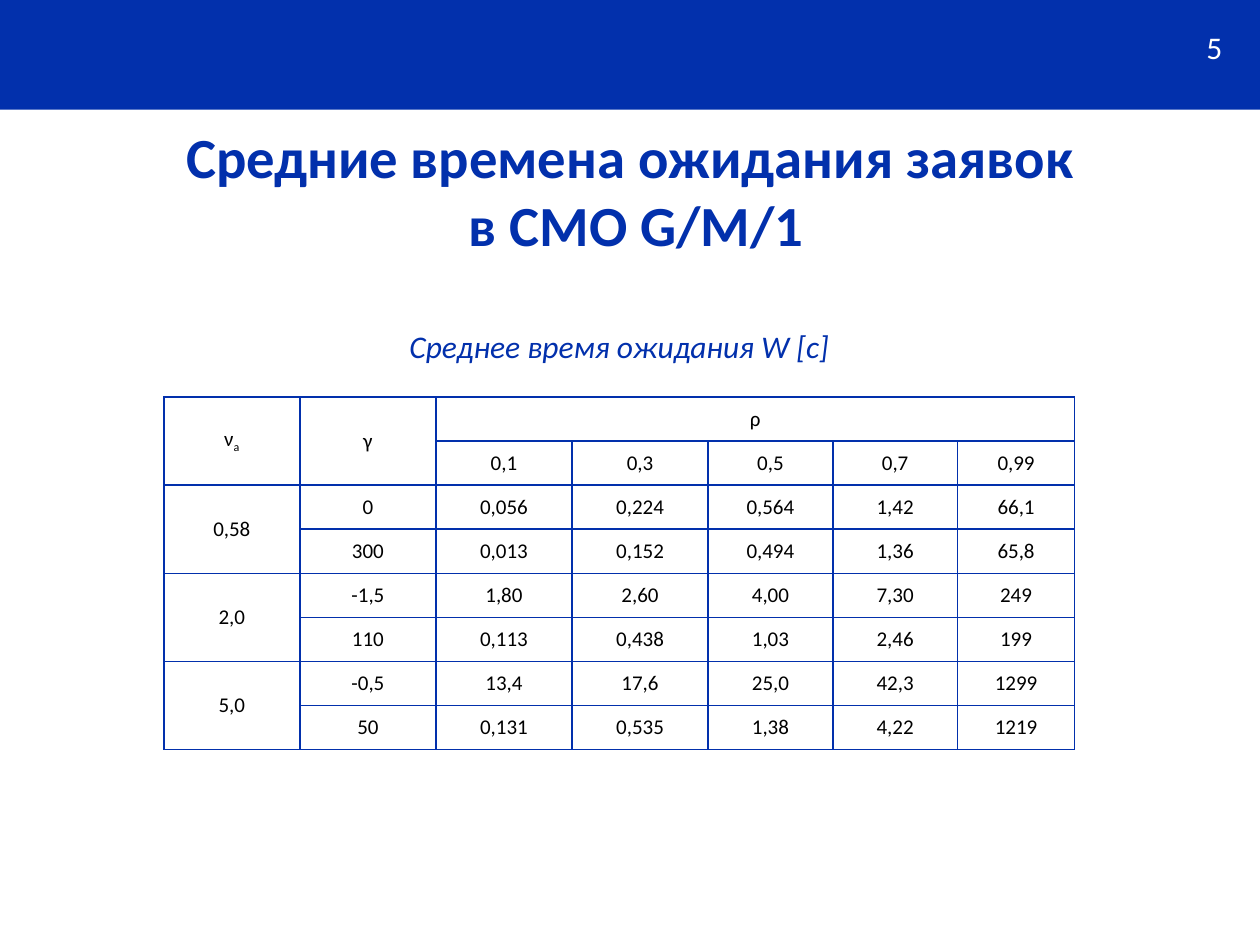
from lxml import etree
from pptx import Presentation
from pptx.dml.color import RGBColor
from pptx.enum.shapes import MSO_SHAPE
from pptx.enum.text import MSO_ANCHOR, PP_ALIGN
from pptx.oxml.ns import qn
from pptx.util import Inches, Pt

BLUE = RGBColor(0x02, 0x30, 0xAC)
WHITE = RGBColor(0xFF, 0xFF, 0xFF)
BLACK = RGBColor(0, 0, 0)
FONT = "Calibri"
RECT = MSO_SHAPE.RECTANGLE
CENTER, RIGHT = PP_ALIGN.CENTER, PP_ALIGN.RIGHT
TOP, MIDDLE = MSO_ANCHOR.TOP, MSO_ANCHOR.MIDDLE

COLS = [1.08, 1.08, 1.08, 1.08, 0.99, 0.99, 0.93]
ROW = 0.35
# Empty cells are covered by a merged neighbour
DATA = [
    ["ν", "γ", "ρ", "", "", "", ""],
    ["", "", "0,1", "0,3", "0,5", "0,7", "0,99"],
    ["0,58", "0", "0,056", "0,224", "0,564", "1,42", "66,1"],
    ["", "300", "0,013", "0,152", "0,494", "1,36", "65,8"],
    ["2,0", "-1,5", "1,80", "2,60", "4,00", "7,30", "249"],
    ["", "110", "0,113", "0,438", "1,03", "2,46", "199"],
    ["5,0", "-0,5", "13,4", "17,6", "25,0", "42,3", "1299"],
    ["", "50", "0,131", "0,535", "1,38", "4,22", "1219"],
]


def style(para, size, color, align=CENTER):
    para.alignment = align
    para.font.name = FONT
    para.font.size = Pt(size)
    para.font.color.rgb = color


def add_text(slide, box, text, size, color, align=CENTER, anchor=TOP):
    frame = slide.shapes.add_textbox(*map(Inches, box)).text_frame
    frame.word_wrap = True
    frame.vertical_anchor = anchor
    para = frame.paragraphs[0]
    para.text = text
    style(para, size, color, align)
    return para


def add_header(slide, box):
    left, top, width, height = box
    bar = slide.shapes.add_shape(RECT, *map(Inches, box))
    bar.shadow.inherit = False
    bar.fill.solid()
    bar.fill.fore_color.rgb = BLUE
    bar.line.fill.background()
    # Page number near the right end of the bar
    spot = (left + width - 2.53, top + 0.17, 2.33, 0.4)
    add_text(slide, spot, "5", 18, WHITE, RIGHT)


def add_title(slide, box):
    text = "Средние времена ожидания заявок\n в СМО G/M/1"
    para = add_text(slide, box, text, 32.4, BLUE, anchor=MIDDLE)
    para.font.bold = True


def add_borders(cell):
    props = cell._tc.get_or_add_tcPr()
    for i, side in enumerate(("lnL", "lnR", "lnT", "lnB")):
        line = etree.Element(qn("a:" + side), w=str(Pt(1)))
        fill = etree.SubElement(line, qn("a:solidFill"))
        etree.SubElement(fill, qn("a:srgbClr"), val=str(BLUE))
        props.insert(i, line)


def fill_cell(cell, text):
    cell.fill.background()
    cell.vertical_anchor = MIDDLE
    cell.margin_left = cell.margin_right = Inches(0.07)
    cell.margin_top = cell.margin_bottom = 0
    para = cell.text_frame.paragraphs[0]
    para.text = text
    style(para, 12, BLACK)
    add_borders(cell)


def add_grid(slide, box):
    left, top, width, height = box
    # Caption
    para = add_text(slide, (left, top, width, 0.4),
                    "Среднее время ожидания W [с]", 18, BLUE)
    para.font.italic = True

    # Table below the caption
    place = (left, top + 0.6, width, ROW * len(DATA))
    table = slide.shapes.add_table(len(DATA), len(COLS),
                                   *map(Inches, place)).table
    table.first_row = table.horz_banding = False
    for col, size in zip(table.columns, COLS):
        col.width = Inches(size)
    for r, row in enumerate(DATA):
        table.rows[r].height = Inches(ROW)
        for c, text in enumerate(row):
            fill_cell(table.cell(r, c), text)

    # Subscript of the first heading
    sub = table.cell(0, 0).text_frame.paragraphs[0].add_run()
    sub.text = "a"
    sub._r.get_or_add_rPr().set("baseline", "-25000")

    # Row pairs in the first column, then the other headings
    for r in range(0, len(DATA), 2):
        table.cell(r, 0).merge(table.cell(r + 1, 0))
    table.cell(0, 1).merge(table.cell(1, 1))
    table.cell(0, 2).merge(table.cell(0, len(COLS) - 1))


def main():
    deck = Presentation()
    deck.slide_width, deck.slide_height = Inches(10), Inches(7.5)
    slide = deck.slides.add_slide(deck.slide_layouts[6])
    add_header(slide, (0, 0, 10, 0.87))
    add_title(slide, (0.5, 0.9, 9, 1.22))
    add_grid(slide, (1.3, 2.55, 7.23, 3.4))
    deck.save("out.pptx")


if __name__ == "__main__":
    main()
